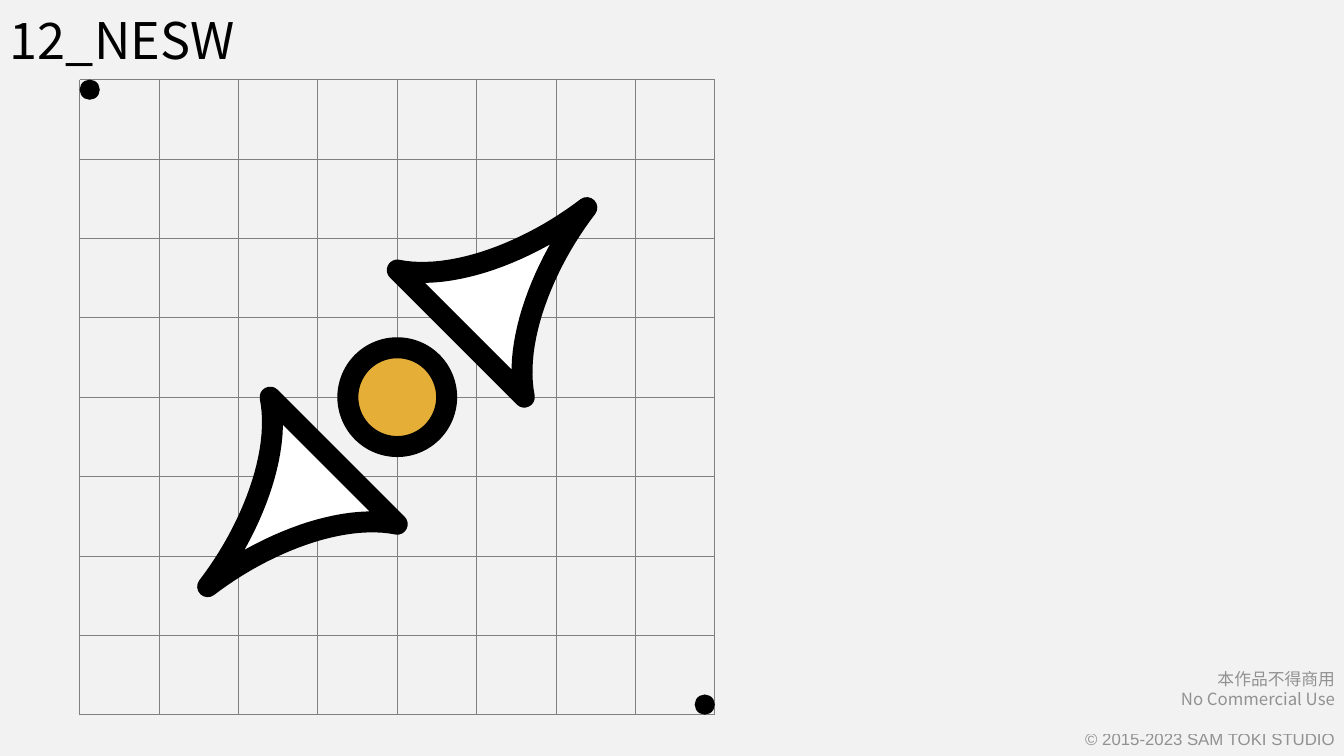
from pptx import Presentation
from pptx import util as u
from pptx.dml.color import RGBColor
from pptx.enum import shapes, text
from pptx.oxml.ns import qn
from lxml import etree

Inches, Pt = u.Inches, u.Pt
INK, PAPER, GRID, GOLD, WHITE = "000000", "F2F2F2", "808080", "E4AE37", "FFFFFF"
NOTO = "Noto Sans CJK SC"


def rgb(value):
    return RGBColor.from_string(value)


def add_text(lines, left, top, width, height, size, line_height, align, alpha=None):
    """Add a text box; each line is (wording, font name, space before in points)."""
    frame = slide.shapes.add_textbox(*map(Inches, (left, top, width, height))).text_frame
    frame.word_wrap = True
    for number, (wording, font, space) in enumerate(lines):
        paragraph = frame.paragraphs[0] if number == 0 else frame.add_paragraph()
        paragraph.alignment = align
        paragraph.line_spacing = Pt(line_height)
        paragraph.space_before = Pt(space)
        run = paragraph.add_run()
        run.text = wording
        run.font.size = Pt(size)
        run.font.name = font
        run.font.color.rgb = rgb(INK)
        properties = run.font._element
        etree.SubElement(properties, qn("a:ea"), typeface=font)
        if alpha is not None:
            colour = properties.find(".//" + qn("a:srgbClr"))
            etree.SubElement(colour, qn("a:alpha"), val=str(alpha * 1000))


deck = Presentation()
deck.slide_width, deck.slide_height = Inches(13.33), Inches(7.5)
slide = deck.slides.add_slide(deck.slide_layouts[6])
slide.background.fill.solid()
slide.background.fill.fore_color.rgb = rgb(PAPER)

add_text(
    [("本作品不得商用", NOTO, 0), ("No Commercial Use", NOTO, 0),
     ("© 2015-2023 SAM TOKI STUDIO", "Arial", 14.3)],
    9.4, 6.59, 3.94, 0.91, 12, 14.3, text.PP_ALIGN.RIGHT, alpha=40)
add_text([("12_NESW", NOTO, 0)], 0, 0, 11.81, 0.71, 36, 46, text.PP_ALIGN.LEFT)

# Grid of 8 by 8 cells
START, END, CELLS = 0.79, 7.09, 8
CENTRE = (START + END) / 2
steps = [START + (END - START) * i / CELLS for i in range(CELLS + 1)]
rows = [(START, y, END, y) for y in steps]
columns = [(x, START, x, END) for x in steps]
for ends in rows + columns:
    grid_line = slide.shapes.add_connector(
        shapes.MSO_CONNECTOR.STRAIGHT, *map(Inches, ends))
    grid_line.line.color.rgb = rgb(GRID)
    grid_line.line.width = Pt(0.5)
    etree.SubElement(grid_line._element.spPr, qn("a:effectLst"))

# Corner dots and the pivot, all centred on the diagonal
DOT, PIVOT = 0.2, 0.98
for middle, diameter, fill, outline in [
        (START + DOT / 2, DOT, INK, 0),
        (END - DOT / 2, DOT, INK, 0),
        (CENTRE, PIVOT, GOLD, 15)]:
    corner = Inches(middle - diameter / 2)
    disc = slide.shapes.add_shape(
        shapes.MSO_SHAPE.OVAL, corner, corner, Inches(diameter), Inches(diameter))
    disc.shadow.inherit = False
    disc.fill.solid()
    disc.fill.fore_color.rgb = rgb(fill)
    if outline:
        disc.line.color.rgb = rgb(INK)
        disc.line.width = Pt(outline)
    else:
        disc.line.fill.background()

# Arrowhead outline as offsets from the centre: two curved sides and a straight base
upper_side = [(0, -1.26), (0.56, -1.15), (1.32, -1.45), (1.88, -1.88)]
lower_side = [(-y, -x) for x, y in reversed(upper_side)]
CURVE_STEPS = 24
outline = []
for side in (upper_side, lower_side):
    for step in range(CURVE_STEPS + 1):
        t = step / CURVE_STEPS
        weights = ((1 - t) ** 3, 3 * t * (1 - t) ** 2, 3 * t * t * (1 - t), t ** 3)
        outline.append([sum(w * p[axis] for w, p in zip(weights, side))
                        for axis in (0, 1)])

for direction in (1, -1):
    points = [(Inches(CENTRE + direction * x), Inches(CENTRE + direction * y))
              for x, y in outline]
    builder = slide.shapes.build_freeform(*points[0])
    builder.add_line_segments(points[1:], close=True)
    arrowhead = builder.convert_to_shape()
    arrowhead.shadow.inherit = False
    arrowhead.fill.solid()
    arrowhead.fill.fore_color.rgb = rgb(WHITE)
    arrowhead.line.color.rgb = rgb(INK)
    arrowhead.line.width = Pt(15)
    etree.SubElement(arrowhead._element.spPr.find(qn("a:ln")), qn("a:round"))

deck.save("out.pptx")
